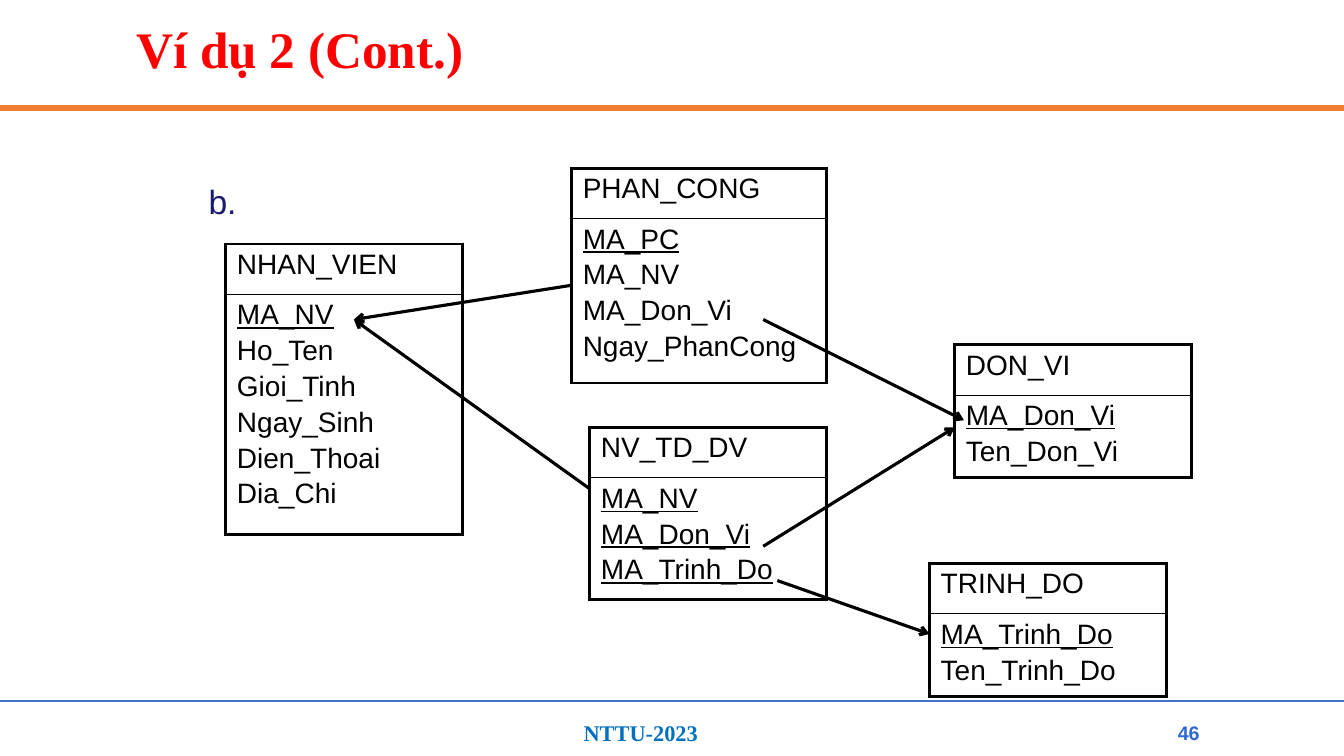
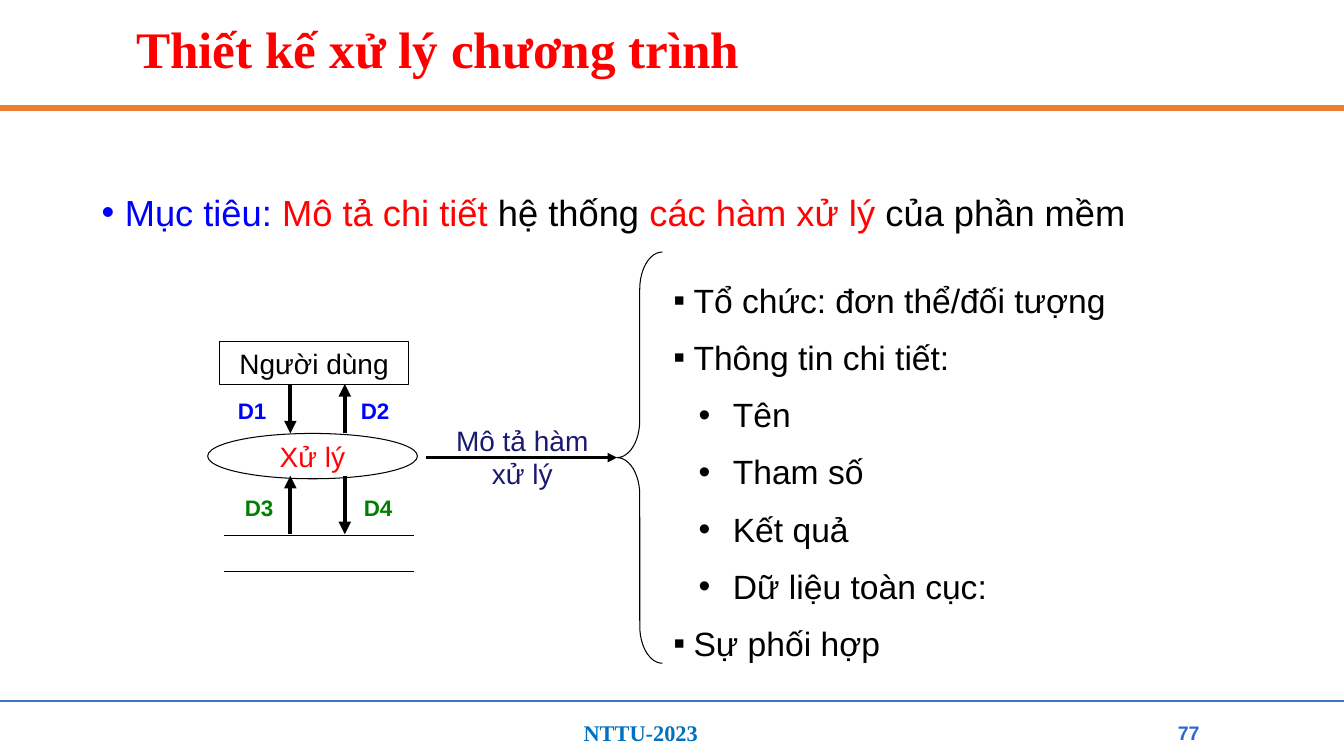
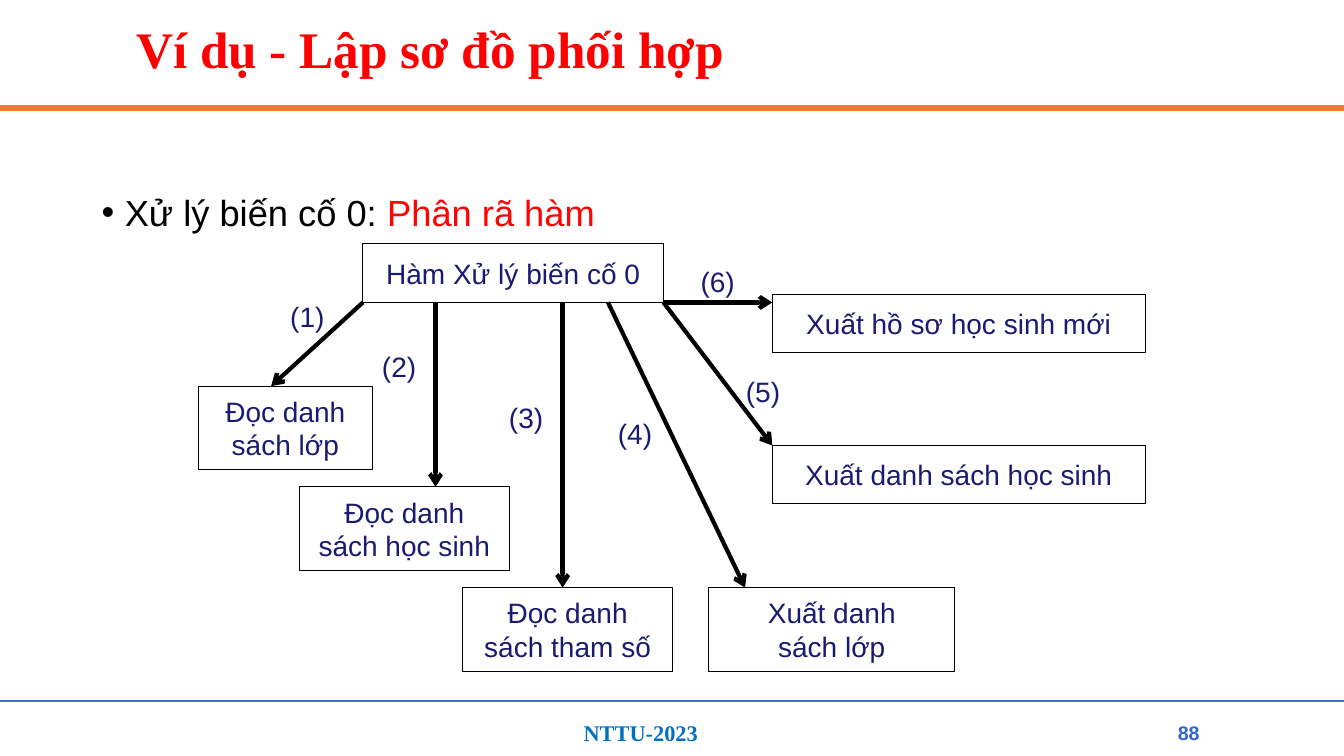
from dataclasses import dataclass

from lxml import etree
from pptx import Presentation
from pptx.dml.color import RGBColor
from pptx.enum.shapes import MSO_CONNECTOR, MSO_SHAPE
from pptx.enum.text import MSO_ANCHOR, MSO_AUTO_SIZE, PP_ALIGN
from pptx.oxml.ns import qn
from pptx.util import Inches, Pt

STRAIGHT = MSO_CONNECTOR.STRAIGHT
RECTANGLE, OVAL, BRACE = MSO_SHAPE.RECTANGLE, MSO_SHAPE.OVAL, MSO_SHAPE.LEFT_BRACE
TOP, MIDDLE = MSO_ANCHOR.TOP, MSO_ANCHOR.MIDDLE
LEFT, CENTER, JUSTIFY = PP_ALIGN.LEFT, PP_ALIGN.CENTER, PP_ALIGN.JUSTIFY

COLORS = {
    "black": "000000",
    "navy": "1A1A70",
    "blue": "0000FF",
    "red": "FF0303",
    "green": "008000",
    "title": "FF0000",
    "top_rule": "ED7D31",
    "bottom_rule": "4472C4",
    "footer": "0070C0",
    "number": "3167D3",
}
SANS, SERIF = "Arial", "Times New Roman"
WIDTH, HEIGHT = 13.33, 7.5
HEADER_HEIGHT = 0.5


@dataclass(frozen=True)
class Span:
    text: str
    color: str | None = None
    underline: bool = False


@dataclass(frozen=True)
class Bullet:
    mark: str
    left: float
    hang: float


@dataclass(frozen=True)
class Line:
    spans: tuple[Span, ...]
    bullet: Bullet | None = None


@dataclass(frozen=True)
class Entity:
    name: str
    left: float
    top: float
    width: float
    height: float
    keys: tuple[str, ...]
    fields: tuple[str, ...] = ()


@dataclass(frozen=True)
class Arrow:
    start: tuple[float, float]
    end: tuple[float, float]


@dataclass(frozen=True)
class Label:
    text: str
    left: float
    top: float
    color: str = "navy"


@dataclass(frozen=True)
class Step:
    lines: tuple[str, ...]
    left: float
    top: float
    width: float
    height: float


DOT = Bullet("•", 0.23, 0.23)
SQUARE = Bullet("▪", 0.2, 0.2)
INNER_DOT = Bullet("•", 0.59, 0.34)

ENTITIES = (
    Entity("NHAN_VIEN", 2.24, 2.42, 2.35, 2.88, ("MA_NV",),
           ("Ho_Ten", "Gioi_Tinh", "Ngay_Sinh", "Dien_Thoai", "Dia_Chi")),
    Entity("DON_VI", 9.47, 3.42, 2.35, 1.32, ("MA_Don_Vi",), ("Ten_Don_Vi",)),
    Entity("TRINH_DO", 9.22, 5.59, 2.35, 1.32, ("MA_Trinh_Do",), ("Ten_Trinh_Do",)),
    Entity("PHAN_CONG", 5.67, 1.67, 2.53, 2.13, ("MA_PC",),
           ("MA_NV", "MA_Don_Vi", "Ngay_PhanCong")),
    Entity("NV_TD_DV", 5.85, 4.24, 2.35, 1.71, ("MA_NV", "MA_Don_Vi", "MA_Trinh_Do")),
)
REFERENCES = (
    Arrow((5.67, 2.83), (3.51, 3.17)),
    Arrow((5.85, 4.85), (3.51, 3.17)),
    Arrow((7.57, 3.17), (9.56, 4.17)),
    Arrow((7.57, 5.42), (9.47, 4.24)),
    Arrow((7.71, 5.76), (9.22, 6.29)),
)

DATA_FLOWS = (
    Arrow((2.88, 3.81), (2.88, 4.3)),
    Arrow((3.42, 4.3), (3.42, 3.81)),
    Arrow((2.88, 5.3), (2.88, 4.72)),
    Arrow((3.42, 4.72), (3.42, 5.3)),
)
FLOW_LABELS = (
    Label("D1", 2.26, 3.89, "blue"),
    Label("D2", 3.48, 3.89, "blue"),
    Label("D3", 2.33, 4.85, "green"),
    Label("D4", 3.51, 4.85, "green"),
)
DESCRIPTION = (
    ("Tổ chức: đơn thể/đối tượng", SQUARE),
    ("Thông tin chi tiết:", SQUARE),
    ("Tên", INNER_DOT),
    ("Tham số", INNER_DOT),
    ("Kết quả", INNER_DOT),
    ("Dữ liệu toàn cục:", INNER_DOT),
    ("Sự phối hợp", SQUARE),
)

STEPS = (
    Step(("Hàm Xử lý biến cố 0",), 3.6, 2.42, 2.98, 0.58),
    Step(("Xuất hồ sơ học sinh mới",), 7.66, 2.92, 3.7, 0.58),
    Step(("Xuất danh sách học sinh",), 7.66, 4.42, 3.7, 0.58),
    Step(("Đọc danh", "sách lớp"), 1.97, 3.83, 1.72, 0.83),
    Step(("Đọc danh", "sách học sinh"), 2.97, 4.83, 2.08, 0.83),
    Step(("Đọc danh", "sách tham số"), 4.59, 5.83, 2.08, 0.83),
    Step(("Xuất danh", "sách lớp"), 7.03, 5.83, 2.44, 0.83),
)
CALLS = (
    Arrow((3.6, 3), (2.69, 3.83)),
    Arrow((4.32, 3), (4.32, 4.83)),
    Arrow((5.58, 3), (5.58, 5.83)),
    Arrow((6.03, 3), (7.39, 5.83)),
    Arrow((6.58, 3), (7.66, 4.42)),
    Arrow((6.58, 3), (7.66, 3)),
)
CALL_LABELS = (
    Label("(1)", 2.78, 2.92),
    Label("(2)", 3.69, 3.42),
    Label("(3)", 4.95, 3.92),
    Label("(4)", 6.03, 4.08),
    Label("(5)", 7.3, 3.67),
    Label("(6)", 6.85, 2.57),
)


def rgb(name: str) -> RGBColor:
    return RGBColor.from_string(COLORS[name])


def set_bullet(para, bullet: Bullet) -> None:
    properties = para._p.get_or_add_pPr()
    properties.set("marL", str(Inches(bullet.left)))
    properties.set("indent", str(-Inches(bullet.hang)))
    etree.SubElement(properties, qn("a:buFont"), typeface=SANS)
    etree.SubElement(properties, qn("a:buChar"), char=bullet.mark)


def write_text(frame, *lines: str | Line, size: float = 20, color: str = "black",
               font: str = SANS, bold: bool = False, align=LEFT, anchor=TOP,
               wrap: bool = True, gap: float = 0, spacing: float = 1.0) -> None:
    frame.word_wrap = wrap
    frame.vertical_anchor = anchor
    for index, line in enumerate(lines):
        if isinstance(line, str):
            line = Line((Span(line),))
        para = frame.add_paragraph() if index else frame.paragraphs[0]
        if line.bullet:
            set_bullet(para, line.bullet)
        para.alignment = align
        para.line_spacing = spacing
        para.space_before = Pt(gap if index else 0)
        for span in line.spans:
            run = para.add_run()
            run.text = span.text
            run.font.name = font
            run.font.size = Pt(size)
            run.font.bold = bold
            run.font.underline = span.underline
            run.font.color.rgb = rgb(span.color or color)


def add_text(page, left: float, top: float, width: float, height: float,
             *lines: str | Line, **style) -> None:
    box = page.shapes.add_textbox(Inches(left), Inches(top), Inches(width), Inches(height))
    write_text(box.text_frame, *lines, **style)


def add_outline(page, kind, left: float, top: float, width: float, height: float,
                *lines: str, color: str = "black"):
    shape = page.shapes.add_shape(kind, Inches(left), Inches(top), Inches(width), Inches(height))
    shape.shadow.inherit = False
    shape.fill.background()
    shape.line.color.rgb = rgb("black")
    shape.line.width = Pt(0.75)
    write_text(shape.text_frame, *lines, color=color, align=CENTER, anchor=MIDDLE, wrap=False)
    return shape


def add_line(page, start: tuple[float, float], end: tuple[float, float],
             color: str = "black", width: float = 0.75, head: str | None = None) -> None:
    line = page.shapes.add_connector(STRAIGHT, *map(Inches, start + end))
    line.line.color.rgb = rgb(color)
    line.line.width = Pt(width)
    if head:
        etree.SubElement(line.line._get_or_add_ln(), qn("a:tailEnd"), type=head)
    etree.SubElement(line._element.spPr, qn("a:effectLst"))


def add_arrows(page, arrows: tuple[Arrow, ...], width: float, head: str) -> None:
    for arrow in arrows:
        add_line(page, arrow.start, arrow.end, width=width, head=head)


def set_borders(cell, **widths: float) -> None:
    properties = cell._tc.get_or_add_tcPr()
    for index, side in enumerate("LRTB"):
        border = etree.Element(qn(f"a:ln{side}"), w=str(Pt(widths.get(side, 2.25))))
        fill = etree.SubElement(border, qn("a:solidFill"))
        etree.SubElement(fill, qn("a:srgbClr"), val=COLORS["black"])
        properties.insert(index, border)


def add_entity(page, entity: Entity) -> None:
    table = page.shapes.add_table(2, 1, Inches(entity.left), Inches(entity.top),
                                  Inches(entity.width), Inches(entity.height)).table
    table.first_row = table.horz_banding = False
    table.rows[0].height = Inches(HEADER_HEIGHT)
    table.rows[1].height = Inches(entity.height - HEADER_HEIGHT)
    keys = [Line((Span(key, underline=True),)) for key in entity.keys]
    for row, lines, inner_side in ((0, [entity.name], "B"), (1, [*keys, *entity.fields], "T")):
        cell = table.cell(row, 0)
        cell.fill.background()
        cell.margin_left = cell.margin_right = Inches(0.11)
        cell.margin_top = cell.margin_bottom = Inches(0.05)
        set_borders(cell, **{inner_side: 1})
        write_text(cell.text_frame, *lines, gap=3.3)


def add_page(deck, title: str, number: int):
    page = deck.slides.add_slide(deck.slide_layouts[5])
    add_line(page, (0, 1.07), (WIDTH, 1.07), "top_rule", 4.5)
    add_line(page, (0, 6.95), (WIDTH, 6.95), "bottom_rule", 1.5)
    add_text(page, 5.69, 7.09, 1.78, 0.37, "NTTU-2023",
             size=16, font=SERIF, color="footer", bold=True)
    add_text(page, 11.56, 7.09, 0.46, 0.36, str(number),
             size=14, color="number", bold=True, align=CENTER, anchor=MIDDLE)
    heading = page.shapes.title
    heading.left, heading.top = Inches(1.25), Inches(0.23)
    heading.width, heading.height = Inches(10.83), Inches(0.58)
    heading.text_frame.auto_size = MSO_AUTO_SIZE.NONE
    write_text(heading.text_frame, title, size=36.6, font=SERIF, color="title",
               bold=True, anchor=MIDDLE, spacing=0.9)
    return page


def add_lead(page, *spans: Span) -> None:
    add_text(page, 0.91, 1.75, 11.5, 0.6, Line(spans, DOT),
             size=25.9, align=JUSTIFY, spacing=1.2)


def build_schema(deck) -> None:
    page = add_page(deck, "Ví dụ 2 (Cont.)", 46)
    add_text(page, 1.97, 1.75, 0.63, 0.5, "b.", size=24, color="navy")
    for entity in ENTITIES:
        add_entity(page, entity)
    add_arrows(page, REFERENCES, 2.25, "arrow")


def build_design(deck) -> None:
    page = add_page(deck, "Thiết kế xử lý chương trình", 77)
    add_lead(page, Span("Mục tiêu: ", "blue"), Span("Mô tả chi tiết", "red"),
             Span(" hệ thống "), Span("các hàm xử lý", "red"), Span(" của phần mềm"))
    add_outline(page, RECTANGLE, 2.18, 3.39, 1.87, 0.42, "Người dùng")
    add_outline(page, OVAL, 2.06, 4.3, 2.08, 0.45, "Xử lý", color="red")
    for store_top in (5.31, 5.67):
        add_line(page, (2.22, store_top), (4.11, store_top))
    add_arrows(page, DATA_FLOWS, 3, "triangle")
    for label in FLOW_LABELS:
        add_text(page, label.left, label.top, 0.49, 0.37, label.text,
                 size=16, color=label.color, bold=True, wrap=False)
    add_line(page, (4.23, 4.54), (6.12, 4.54), width=2.25, head="triangle")
    add_text(page, 4.32, 4.15, 1.72, 0.77, "Mô tả hàm xử lý", color="navy", align=CENTER)
    brace = add_outline(page, BRACE, 6.12, 2.5, 0.45, 4.08)
    brace.adjustments[0] = 0.82
    add_text(page, 6.58, 2.65, 5.15, 3.85,
             *(Line((Span(text),), bullet) for text, bullet in DESCRIPTION),
             size=24, gap=6.2, spacing=1.2)


def build_coordination(deck) -> None:
    page = add_page(deck, "Ví dụ - Lập sơ đồ phối hợp", 88)
    add_lead(page, Span("Xử lý biến cố 0: "), Span("Phân rã hàm", "red"))
    for step in STEPS:
        add_outline(page, RECTANGLE, step.left, step.top, step.width, step.height,
                    *step.lines, color="navy")
    add_arrows(page, CALLS, 3, "arrow")
    for label in CALL_LABELS:
        add_text(page, label.left, label.top, 0.63, 0.43, label.text, color=label.color)


def main() -> None:
    deck = Presentation()
    deck.slide_width, deck.slide_height = Inches(WIDTH), Inches(HEIGHT)
    build_schema(deck)
    build_design(deck)
    build_coordination(deck)
    deck.save("out.pptx")


if __name__ == "__main__":
    main()
